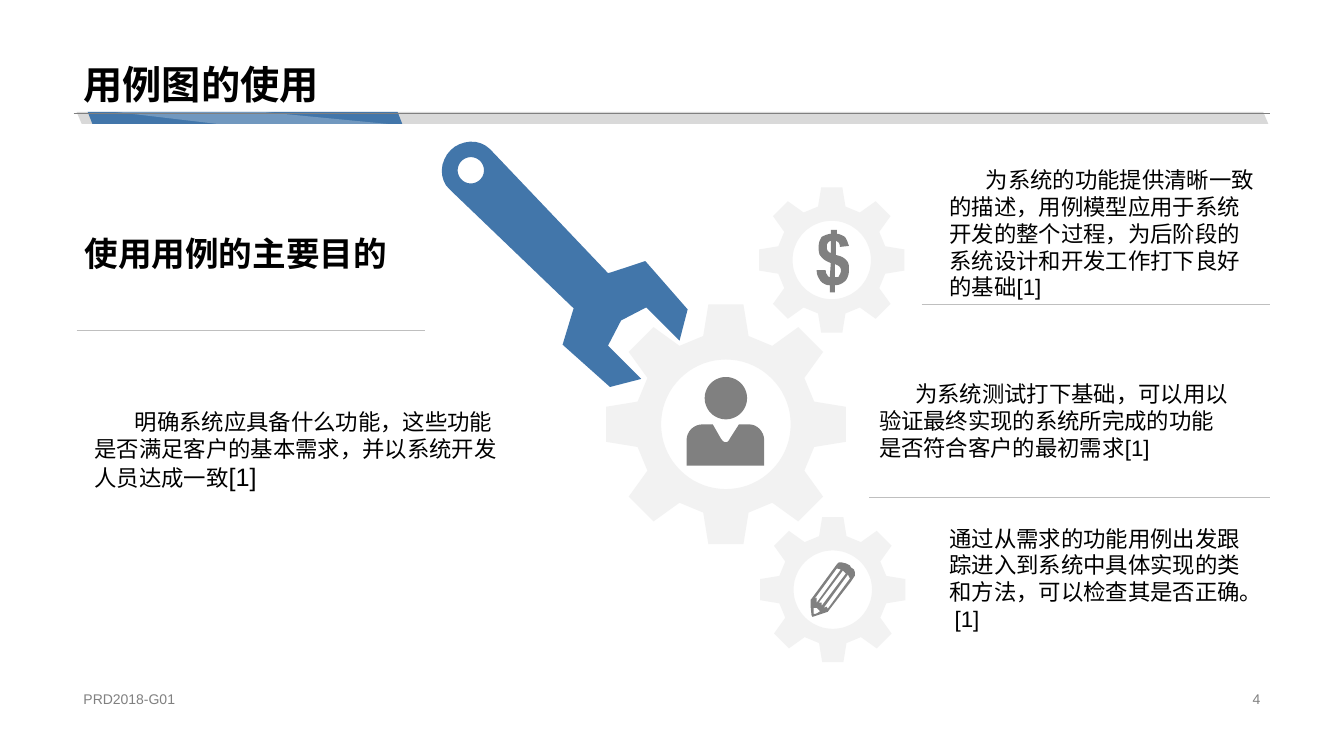
from math import cos, pi, sin

from lxml import etree
from pptx import Presentation
from pptx.dml.color import RGBColor
from pptx.enum.shapes import MSO_CONNECTOR, MSO_SHAPE
from pptx.enum.text import MSO_ANCHOR, MSO_AUTO_SIZE, PP_ALIGN
from pptx.oxml.ns import qn
from pptx.util import Inches, Pt

COLORS = {"blue": "4276AA", "bar": "D9D9D9", "gear": "F2F2F2", "icon": "808080",
          "rule": "BFBFBF", "text": "000000", "white": "FFFFFF"}
UNITS = 1000  # freeform units per inch

# Outlines in inches from their own corner: (x, y) is a corner point,
# (x1, y1, x2, y2, x, y) is a curve with two control points.
WRENCH = [(2.01, 2.39), (1.7, 2.47), (1.23, 2.05), (1.33, 1.72), (1.34, 1.69), (.11, .51),
          (0, .41, .01, .23, .12, .12), (.22, .02, .4, 0, .51, .11), (1.68, 1.34),
          (1.72, 1.33), (2.05, 1.22), (2.47, 1.7), (2.39, 2.01), (2.06, 1.68),
          (1.81, 1.81), (1.68, 2.06), (1.99, 2.37)]
TORSO = [(.16, .47), (.26, .47), (.34, .61), (.37, .66, .41, .66, .43, .61), (.52, .47),
         (.62, .47), (.7, .47, .77, .54, .77, .63), (.77, .88), (0, .88), (0, .63),
         (0, .54, .07, .47, .16, .47)]
DOLLAR = [
    [(.13, .47), (.14, .33), (.09, .31, .06, .29, .04, .26), (.02, .24, .02, .21, .02, .17),
     (.02, .13, .03, .1, .05, .07), (.07, .06, .11, .04, .14, .04), (.14, 0), (.2, 0),
     (.2, .04), (.23, .04, .26, .06, .28, .07), (.3, .1, .31, .13, .32, .16), (.23, .17),
     (.23, .14, .22, .12, .19, .11), (.19, .25), (.24, .26, .28, .28, .3, .31),
     (.32, .33, .32, .36, .32, .4), (.32, .44, .31, .47, .29, .5),
     (.26, .53, .23, .55, .18, .55), (.18, .62), (.13, .62), (.13, .55),
     (.09, .55, .06, .53, .04, .51), (.02, .48, 0, .45, 0, .4), (.09, .4),
     (.09, .41, .09, .43, .1, .44), (.11, .46, .12, .47, .13, .47)],
    [(.14, .11), (.13, .11, .12, .12, .11, .13), (.1, .15, .1, .15, .1, .17),
     (.1, .18, .1, .19, .11, .21), (.11, .21, .13, .23, .14, .23)],
    [(.18, .47), (.2, .47, .22, .47, .22, .46), (.23, .44, .24, .43, .24, .41),
     (.24, .4, .24, .38, .23, .37), (.22, .36, .21, .35, .18, .34)]]
PENCIL = [
    [(.39, .03), (.35, .01), (.31, 0), (.28, 0), (.26, .02), (.23, .06), (.01, .36), (0, .37),
     (0, .44), (.01, .53), (.02, .54), (.05, .53), (.17, .49), (.4, .19), (.44, .13),
     (.44, .1), (.43, .07), (.4, .05)],
    [(.17, .46), (.16, .44), (.13, .45), (.37, .12), (.39, .16)],
    [(.26, .06), (.3, .07), (.06, .4), (.06, .35), (.04, .36)],
    [(.11, .43), (.11, .4), (.08, .4), (.32, .08), (.35, .11)],
    [(.09, .49), (.05, .51), (.03, .51), (.03, .45), (.06, .45), (.09, .48)]]


def rgb(name):
    return RGBColor.from_string(COLORS[name])


def paint(sp, color):
    sp.shadow.inherit = False
    sp.fill.solid()
    sp.fill.fore_color.rgb = rgb(color)
    sp.line.fill.background()


def flatten(outline, steps=8):
    """Turn corner points and curves into plain points."""
    points = [outline[0]]
    for seg in outline[1:]:
        if len(seg) == 2:
            points.append(seg)
            continue
        x0, y0 = points[-1]
        x1, y1, x2, y2, x3, y3 = seg
        for i in range(1, steps + 1):
            t = i / steps
            a, b, c, d = (1 - t) ** 3, 3 * t * (1 - t) ** 2, 3 * t * t * (1 - t), t ** 3
            points.append((a * x0 + b * x1 + c * x2 + d * x3,
                           a * y0 + b * y1 + c * y2 + d * y3))
    return points


def polar(cx, cy, r, degrees):
    angle = degrees * pi / 180
    return cx + r * sin(angle), cy - r * cos(angle)


def circle(cx, cy, r):
    return [polar(cx, cy, r, a) for a in range(0, 360, 5)]


def add_outline(s, left, top, outlines, color):
    """Draw one freeform; inner outlines become holes."""
    builder = None
    for outline in outlines:
        points = [((left + x) * UNITS, (top + y) * UNITS) for x, y in flatten(outline)]
        if builder is None:
            builder = s.shapes.build_freeform(*points[0], scale=Inches(1) / UNITS)
        else:
            builder.move_to(*points[0])
        builder.add_line_segments(points[1:], close=True)
    sp = builder.convert_to_shape()
    paint(sp, color)
    return sp


def add_gear(s, cx, cy, r):
    teeth = [polar(cx, cy, r * k, 45 * i + a) for i in range(8)
             for k, a in ((.76, -14.4), (1.01, -8.3), (1.01, 8.3), (.76, 14.4))]
    add_outline(s, 0, 0, [teeth, circle(cx, cy, r * .54)], "gear")


def add_rule(s, left, right, y, color="rule"):
    line = s.shapes.add_connector(MSO_CONNECTOR.STRAIGHT, Inches(left), Inches(y),
                                  Inches(right), Inches(y))
    line.line.color.rgb = rgb(color)
    line.line.width = Pt(.25)
    etree.SubElement(line._element.spPr, qn("a:effectLst"))


def write(sp, runs, color="text", anchor=MSO_ANCHOR.BOTTOM, align=PP_ALIGN.LEFT,
          spacing=None, indent=0):
    """Fill a text shape with one paragraph of (text, size, bold) runs."""
    tf = sp.text_frame
    tf.word_wrap = True
    tf.auto_size = MSO_AUTO_SIZE.NONE
    tf.vertical_anchor = anchor
    p = tf.paragraphs[0]
    p.alignment = align
    p.line_spacing = spacing
    if indent:
        p._p.get_or_add_pPr().set("indent", str(Inches(indent)))
    for text, size, bold in runs:
        r = p.add_run()
        r.text = text
        r.font.name = "Arial"
        r.font.size = Pt(size)
        r.font.bold = bold
        r.font.color.rgb = rgb(color)


def add_text(s, box, runs, **style):
    write(s.shapes.add_textbox(*map(Inches, box)), runs, **style)


def add_header(s, left, bottom, width, title):
    for dx, w, adj, color in ((.03, 11.82, .424, "bar"), (.14, 3.12, .388, "blue")):
        bar = s.shapes.add_shape(MSO_SHAPE.PARALLELOGRAM, Inches(left + dx),
                                 Inches(bottom - .01), Inches(w), Inches(.12))
        bar.adjustments[0] = adj
        bar._element.spPr.xfrm.set("flipH", "1")
        paint(bar, color)
    facet = add_outline(s, left + .41, bottom - .01,
                        [[(2.71, .12), (1.46, 0), (0, 0), (1.02, .12)]], "white")
    fill = facet._element.spPr.find(qn("a:solidFill"))
    etree.SubElement(fill[0], qn("a:alpha"), val="25000")
    add_rule(s, left, left + width, bottom, "icon")
    sp = s.shapes.title
    sp.left, sp.top, sp.width, sp.height = map(Inches, (left, 0, width, bottom))
    write(sp, [(title, 28, True)], spacing=.9)


def add_footer(s, left, top, width, label, number):
    style = {"color": "icon", "anchor": MSO_ANCHOR.MIDDLE}
    add_text(s, (left, top, 4.53, .23), [(label, 10, False)], **style)
    add_text(s, (left + width - 3.18, top, 3.18, .23), [(number, 10, False)],
             align=PP_ALIGN.RIGHT, **style)


def add_machine(s, left, top):
    """Three gears with their icons, and the wrench that turns them."""
    for cx, cy, r in ((3.91, 4.48, .72), (3.9, 1.21, .72), (2.85, 2.84, 1.19)):
        add_gear(s, left + cx, top + cy, r)
    add_outline(s, left + 2.46, top + 2.37, [circle(.39, .21, .21), TORSO], "icon")
    add_outline(s, left, top, [WRENCH, circle(.32, .32, .13)], "blue")
    add_outline(s, left + 3.75, top + .91, DOLLAR, "icon")
    add_outline(s, left + 3.69, top + 4.21, PENCIL, "icon")


def add_main_purpose(s, left, top):
    add_text(s, (left, top, 3.93, .48), [("使用用例的主要目的", 24, True)], spacing=.9)
    add_rule(s, left + .02, left + 3.48, top + 1)
    add_text(s, (left + .1, top + 1.46, 4.23, 1.19),
             [("明确系统应具备什么功能，这些功能是否满足客户的基本需求，并以系统开发人员达成一致", 16, False),
              ("[1]", 18, False)], indent=.4)


def add_purposes(s, right):
    add_text(s, (right - 3.28, 1.5, 3.27, 1.53),
             [("为系统的功能提供清晰一致的描述，用例模型应用于系统开发的整个过程，"
               "为后阶段的系统设计和开发工作打下良好的基础[1]", 16, False)], indent=.36)
    add_rule(s, right - 3.46, right, 3.02)
    add_text(s, (right - 3.98, 3.37, 3.74, 1.25),
             [("为系统测试打下基础，可以用以验证最终实现的系统所完成的功能是否符合客户的最初需求[1]",
               16, False)], indent=.36)
    add_rule(s, right - 3.98, right, 4.93)
    add_text(s, (right - 3.28, 5.13, 3.18, 1.19),
             [("通过从需求的功能用例出发跟踪进入到系统中具体实现的类和方法，可以检查其是否正确。 [1]",
               16, False)])


def main():
    prs = Presentation()
    prs.slide_width, prs.slide_height = Inches(13.33), Inches(7.5)
    s = prs.slides.add_slide(prs.slide_layouts[5])
    add_header(s, .73, 1.12, 11.87, "用例图的使用")
    add_footer(s, .73, 6.82, 11.87, "PRD2018-G01", "4")
    add_machine(s, 4.35, 1.37)
    add_main_purpose(s, .74, 2.28)
    add_purposes(s, 12.6)
    prs.save("out.pptx")


if __name__ == "__main__":
    main()
